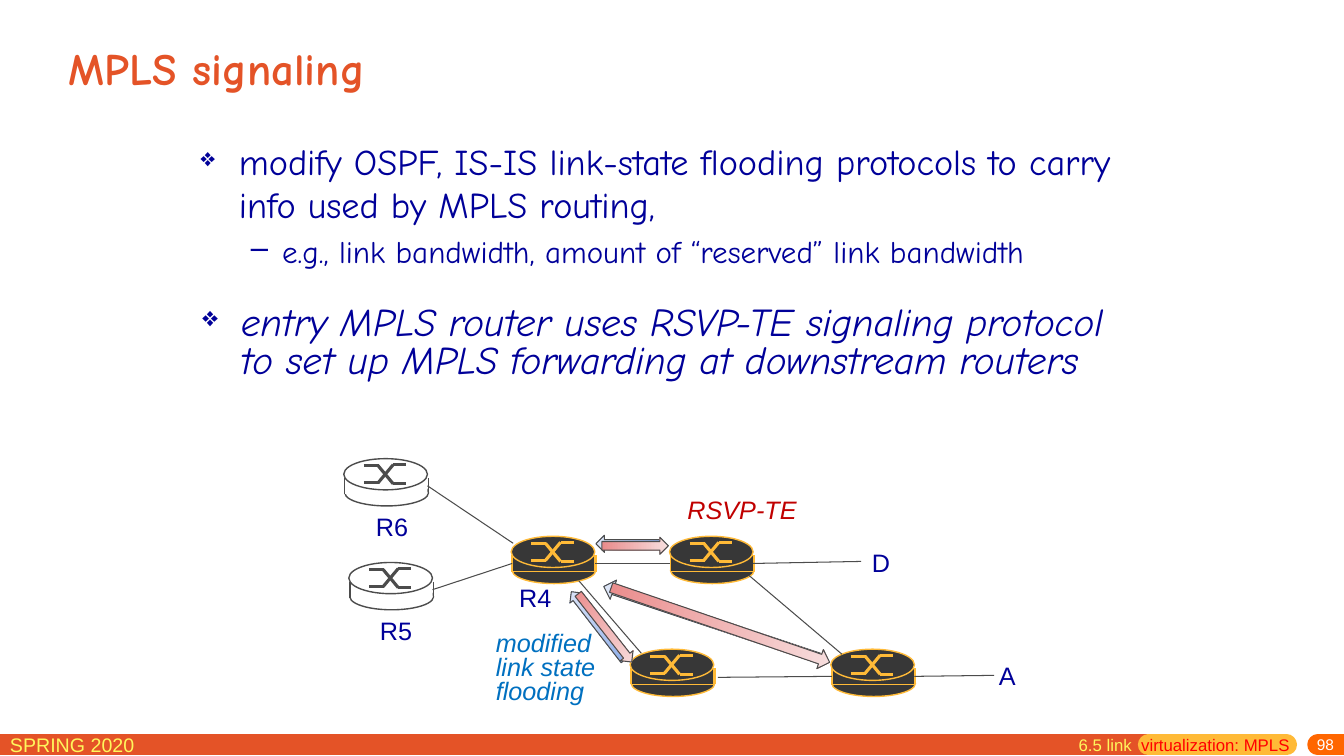
from dataclasses import dataclass

import lxml.etree
import pptx
import pptx.util
from pptx.dml.color import RGBColor
from pptx.enum.shapes import MSO_CONNECTOR, MSO_SHAPE
from pptx.enum.text import MSO_ANCHOR, MSO_AUTO_SIZE, PP_ALIGN
from pptx.oxml.ns import qn

PX = 9144  # EMU in one px, at 100 px to the inch
RIGHT, LEFT = 3, 1  # connection sites of a rectangle

COLOURS = {
    "orange": "E45327", "amber": "FFBA37", "bright": "FF6600", "yellow": "FFF65C",
    "white": "FFFFFF", "navy": "000099", "red": "FF0000", "dark": "373737",
    "grey": "4C4C4C", "azure": "0070C0", "crimson": "C00000",
    "blue_from": "8CADEA", "blue_to": "DEE6F7",
    "pink_from": "EA8C8C", "pink_to": "F7DEDE",
}


@dataclass
class Router:
    name: str
    x: int
    y: int
    mpls: bool = True


@dataclass
class Link:
    """Each end is a router's name (joined at its side) or a point."""
    begin: str | tuple[int, int]
    end: str | tuple[int, int]


@dataclass
class Label:
    text: str
    box: tuple[int, int, int, int]
    colour: str = "navy"
    italic: bool = False


@dataclass
class Arrow:
    box: tuple[int, int, int, int]
    rotation: float
    hue: str


FOOTER_BARS = [((0, 739), (1139, 739), "orange"),
               ((1139, 739), (1276, 739), "amber"),
               ((1307, 739), (1333, 739), "bright")]

ROUTERS = [Router("A side", 824, 644), Router("lower", 625, 644),
           Router("upper", 664, 532), Router("R4", 507, 532),
           Router("R6", 341, 455, mpls=False), Router("R5", 346, 558, mpls=False)]

SWITCH_STROKES = [((20, 7), (35, 7)), ((49, 25), (62, 25)), ((34, 7), (49, 25)),
                  ((20, 24), (35, 24)), ((49, 6), (62, 6)), ((34, 24), (49, 6))]

LINKS = [Link("R6", (509, 539)), Link("R5", "R4"), Link("R4", "upper"),
         Link((574, 576), (636, 648)), Link((712, 672), "A side"),
         Link((743, 571), (835, 649)), Link("A side", (986, 670)),
         Link("upper", (854, 557))]

ARROWS = [Arrow((591, 531, 66, 17), 180, "blue"), Arrow((550, 613, 86, 16), 232.3, "blue"),
          Arrow((593, 608, 229, 20), 198.4, "blue"),
          Arrow((597, 533, 66, 17), 0, "pink"), Arrow((557, 615, 86, 16), 51.9, "pink"),
          Arrow((600, 610, 229, 20), 18.9, "pink")]

LABELS = [Label("D", (855, 538, 38, 40)), Label("R4", (505, 573, 52, 40)),
          Label("R5", (367, 606, 52, 40)), Label("A", (981, 650, 37, 40)),
          Label("R6", (363, 502, 52, 40)),
          Label("modified\nlink state\nflooding", (482, 624, 127, 82), "azure", True),
          Label("RSVP-TE", (672, 492, 130, 34), "crimson", True)]


def rgb(name: str) -> RGBColor:
    return RGBColor.from_string(COLOURS[name])


def emu(lengths) -> list[int]:
    return [n * PX for n in lengths]


def add_line(shapes, begin, end, colour: str, width: float, round_cap: bool = False):
    cx = shapes.add_connector(MSO_CONNECTOR.STRAIGHT, *emu((*begin, *end)))
    cx.line.color.rgb = rgb(colour)
    cx.line.width = pptx.util.Pt(width)
    sp_pr = cx.element.spPr
    if round_cap:
        sp_pr.find(qn("a:ln")).set("cap", "rnd")
    lxml.etree.SubElement(sp_pr, qn("a:effectLst"))
    return cx


def add_shape(shapes, kind, box, fill: str | None, line: str | None, width: float = 1):
    sp = shapes.add_shape(kind, *emu(box))
    sp.shadow.inherit = False
    if fill:
        sp.fill.solid()
        sp.fill.fore_color.rgb = rgb(fill)
    if line:
        sp.line.color.rgb = rgb(line)
        sp.line.width = pptx.util.Pt(width)
    else:
        sp.line.fill.background()
    return sp


def add_router(shapes, router: Router):
    """Draw a router and return the rectangle that links join."""
    fill, ink = ("dark", "amber") if router.mpls else ("white", "grey")
    parts = shapes.add_group_shape().shapes
    x, y = router.x, router.y
    add_shape(parts, MSO_SHAPE.OVAL, (x + 1, y + 21, 83, 26), fill, ink)
    body = add_shape(parts, MSO_SHAPE.RECTANGLE, (x + 1, y + 19, 82, 16), fill,
                     ink if router.mpls else None, 0.75)
    for side in (x + 1, x + 84):
        add_line(parts, (side, y + 19), (side, y + 35), ink, 1)
    add_shape(parts, MSO_SHAPE.OVAL, (x, y, 83, 31), fill, ink)
    for (x1, y1), (x2, y2) in SWITCH_STROKES:
        add_line(parts, (x + x1, y + y1), (x + x2, y + y2), ink, 2.25)
    return body


def add_link(shapes, link: Link, bodies: dict) -> None:
    begin, end = [(0, 0) if isinstance(p, str) else p for p in (link.begin, link.end)]
    cx = add_line(shapes, begin, end, "grey", 0.75)
    if isinstance(link.begin, str):
        cx.begin_connect(bodies[link.begin], RIGHT)
    if isinstance(link.end, str):
        cx.end_connect(bodies[link.end], LEFT)


def add_arrow(shapes, arrow: Arrow) -> None:
    sp = add_shape(shapes, MSO_SHAPE.RIGHT_ARROW, arrow.box, None, "grey", 0.75)
    sp.rotation = arrow.rotation
    sp.fill.gradient()
    sp.fill.gradient_angle = 0
    for stop, tone in zip(sp.fill.gradient_stops, ("from", "to")):
        stop.color.rgb = rgb(f"{arrow.hue}_{tone}")


def text_frame(shapes, box, wrap: bool = True, anchor=MSO_ANCHOR.TOP):
    tf = shapes.add_textbox(*emu(box)).text_frame
    tf.word_wrap = wrap
    tf.auto_size = MSO_AUTO_SIZE.NONE if wrap else MSO_AUTO_SIZE.SHAPE_TO_FIT_TEXT
    tf.vertical_anchor = anchor
    return tf


def write(tf, text: str, *, size: float, colour: str, font: str = "Arial",
          bold: bool = False, italic: bool = False, align=PP_ALIGN.LEFT,
          line_spacing=None, before: float = 0, level: int = 0, bullet: str = "",
          bullet_size: int = 100, indent: tuple[int, int] = (0, 0),
          join: bool = False) -> None:
    """Write one paragraph per line of text; join continues the last paragraph."""
    for line in text.split("\n"):
        p = tf.paragraphs[-1]
        if p.runs and not join:
            p = tf.add_paragraph()
        p.alignment, p.level = align, level
        p.line_spacing, p.space_before = line_spacing, pptx.util.Pt(before)
        if bullet:
            p_pr = p._p.get_or_add_pPr()
            p_pr.set("marL", str(indent[0] * PX))
            p_pr.set("indent", str(indent[1] * PX))
            lxml.etree.SubElement(p_pr, qn("a:buSzPct")).set("val", str(bullet_size * 1000))
            lxml.etree.SubElement(p_pr, qn("a:buChar")).set("char", bullet)
        r = p.add_run()
        r.text = line
        r.font.name, r.font.size = font, pptx.util.Pt(size)
        r.font.bold, r.font.italic = bold, italic
        r.font.color.rgb = rgb(colour)


def main() -> None:
    prs = pptx.Presentation()
    prs.slide_width, prs.slide_height = emu((1333, 750))
    shapes = prs.slides.add_slide(prs.slide_layouts[6]).shapes

    for begin, end, colour in FOOTER_BARS:
        add_line(shapes, begin, end, colour, 15, round_cap=True)
    write(text_frame(shapes, (0, 722, 229, 31)), "SPRING 2020", size=14, colour="yellow")
    tf = text_frame(shapes, (1075, 732, 258, 18), anchor=MSO_ANCHOR.MIDDLE)
    tf.margin_top = 0
    write(tf, "98", size=11, colour="white", align=PP_ALIGN.RIGHT)
    tf = text_frame(shapes, (1060, 724, 236, 31))
    write(tf, "6.5 link  ", size=12, colour="yellow")
    write(tf, "virtualization: MPLS", size=12, colour="red", join=True)

    comic = {"font": "Comic Neue", "colour": "navy"}
    diamond = {"bullet": "❖", "bullet_size": 70, "indent": (38, -38)}
    tf = text_frame(shapes, (58, 28, 1218, 79), anchor=MSO_ANCHOR.MIDDLE)
    write(tf, "MPLS signaling", size=32, colour="orange", font="Comic Neue", bold=True)
    tf = text_frame(shapes, (189, 133, 949, 148))
    write(tf, "modify OSPF, IS-IS link-state flooding protocols to carry info used by "
          "MPLS routing,", size=25.9, before=5.2, **comic, **diamond)
    write(tf, "e.g., link bandwidth, amount of “reserved” link bandwidth", size=22.2,
          before=4.4, level=1, bullet="–", indent=(81, -31), **comic)
    tf = text_frame(shapes, (191, 299, 951, 116))
    write(tf, "entry MPLS router uses RSVP-TE signaling protocol to set up MPLS "
          "forwarding at downstream routers", size=28, italic=True, line_spacing=0.8,
          before=5.6, **comic, **diamond)

    bodies = {router.name: add_router(shapes, router) for router in ROUTERS}
    for link in LINKS:
        add_link(shapes, link, bodies)
    for arrow in ARROWS:
        add_arrow(shapes, arrow)
    for label in LABELS:
        write(text_frame(shapes, label.box, wrap=False), label.text, size=18,
              colour=label.colour, italic=label.italic,
              line_spacing=pptx.util.Pt(17) if label.italic else None)
    prs.save("out.pptx")


if __name__ == "__main__":
    main()
